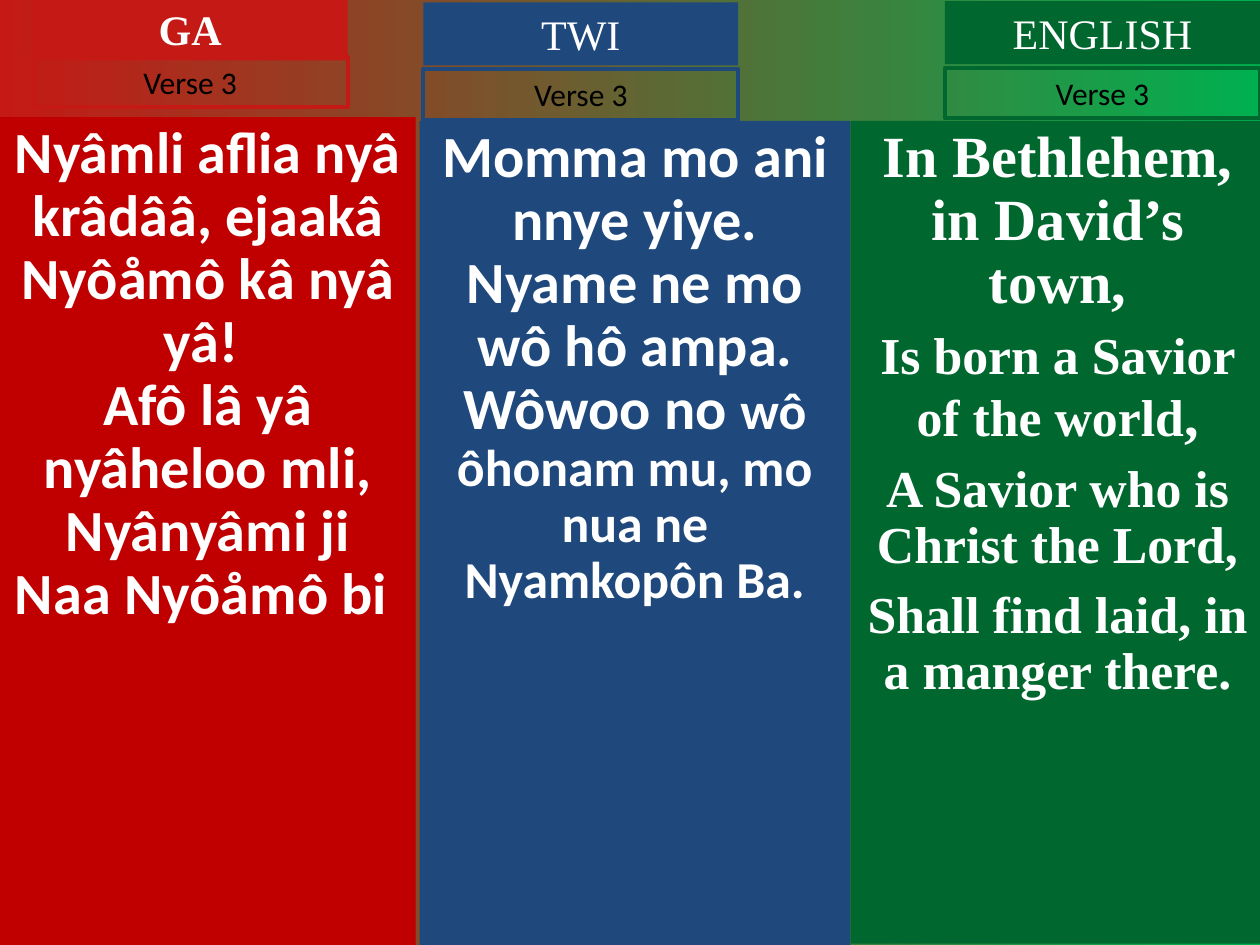
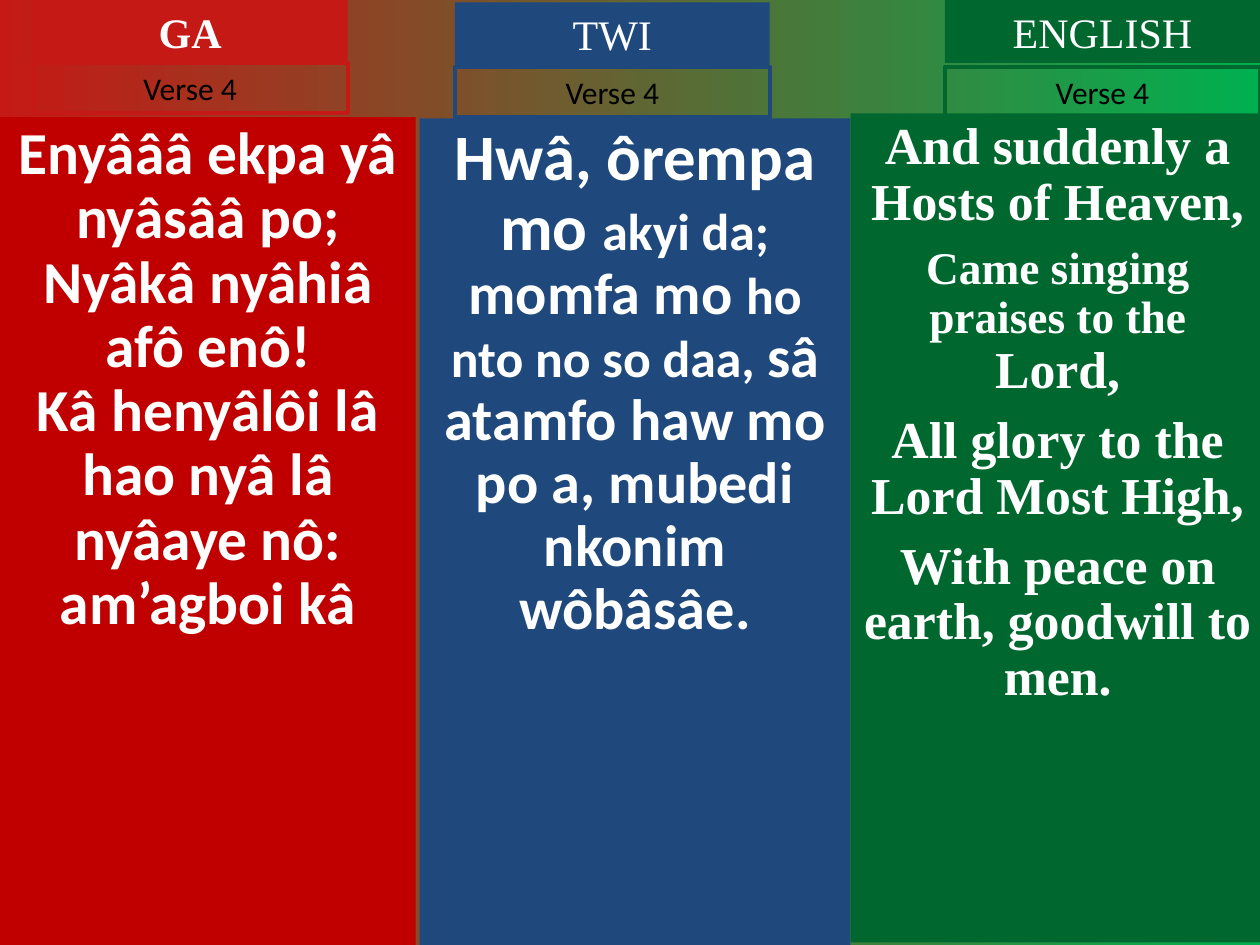
from pptx import Presentation
from pptx.dml.color import RGBColor
from pptx.enum.shapes import MSO_SHAPE
from pptx.enum.text import MSO_ANCHOR, MSO_AUTO_SIZE, PP_ALIGN
from pptx.util import Inches, Pt

RED = RGBColor(0xC5, 0x19, 0x15)
DEEP_RED = RGBColor(0xC0, 0x00, 0x00)
BLUE = RGBColor(0x1F, 0x49, 0x7D)
GREEN = RGBColor(0x00, 0x68, 0x2F)
BRIGHT_GREEN = RGBColor(0x00, 0xB0, 0x50)
WHITE = RGBColor(0xFF, 0xFF, 0xFF)
BLACK = RGBColor(0x00, 0x00, 0x00)

SANS, SERIF = "Calibri", "Times New Roman"
HUGE, LARGER, LARGE, MEDIUM, SMALL = 37, 34, 33.3, 29.6, 25.9
TAG_WIDTH, NAME_HEIGHT, VERSE_HEIGHT = 2.5, 0.5, 0.4

LANGUAGES = {
    "GA": dict(tag=RED, panel=DEEP_RED, font=SANS, left=0, width=3.3, bold_name=True, gap=0),
    "TWI": dict(tag=BLUE, panel=BLUE, font=SANS, left=3.33, width=3.42, bold_name=False, gap=0),
    "ENGLISH": dict(tag=GREEN, panel=GREEN, font=SERIF, left=6.75, width=3.29, bold_name=False, gap=8),
}

VERSES = [
    ("Verse 3", {
        "GA": dict(tag_left=0.26, name_top=-0.02, verse_top=0.45, panel_top=0.93, bottom=7.5, lines=[
            [("Nyâmli aflia nyâ krâdââ, ejaakâ Nyôåmô kâ nyâ yâ! ", LARGE)],
            [("Afô lâ yâ nyâheloo mli, Nyânyâmi ji Naa Nyôåmô bi ", LARGE)],
        ]),
        "TWI": dict(tag_left=3.36, name_top=0.02, verse_top=0.55, panel_top=0.96, bottom=7.5, lines=[
            [("Momma mo ani nnye yiye.", LARGE)],
            [("Nyame ne mo wô hô ampa.", LARGE)],
            [("Wôwoo no ", LARGE), ("wô ôhonam mu, mo nua ne Nyamkopôn Ba.", MEDIUM)],
        ]),
        "ENGLISH": dict(tag_left=7.5, name_top=0.01, verse_top=0.54, panel_top=0.96, bottom=7.49, lines=[
            [("In Bethlehem, in David’s town,", LARGE)],
            [("Is born a Savior of the world", MEDIUM), (",", LARGE)],
            [("A Savior who is Christ the Lord,", MEDIUM)],
            [("Shall find laid, in a manger there.", MEDIUM)],
        ]),
    }),
    ("Verse 4", {
        "GA": dict(tag_left=0.26, name_top=0, verse_top=0.5, panel_top=0.93, bottom=7.5, lines=[
            [("Enyâââ ekpa yâ nyâsââ po;", LARGER)],
            [("Nyâkâ nyâhiâ afô enô!", LARGER)],
            [("Kâ henyâlôi lâ hao nyâ lâ nyâaye nô: am’agboi kâ", LARGER)],
        ]),
        "TWI": dict(tag_left=3.61, name_top=0.02, verse_top=0.53, panel_top=0.94, bottom=7.5, lines=[
            [("Hwâ, ôrempa mo ", HUGE), ("akyi da; ", MEDIUM), ("momfa mo ", LARGE),
             ("ho nto no so daa, ", MEDIUM),
             ("sâ atamfo haw mo po a, mubedi nkonim wôbâsâe.", LARGE)],
        ]),
        "ENGLISH": dict(tag_left=7.5, name_top=0, verse_top=0.53, panel_top=0.9, bottom=7.48, lines=[
            [("And suddenly a Hosts of Heaven,", MEDIUM)],
            [("Came singing praises to the ", SMALL), ("Lord,", MEDIUM)],
            [("All glory to the Lord Most High,", MEDIUM)],
            [("With peace on earth, goodwill to men.", MEDIUM)],
        ]),
    }),
]


def add_block(slide, box, lines, font, color, bold=False, fill=None, border=None,
              spacing=1.0, gap=0, grow=False):
    block = slide.shapes.add_shape(MSO_SHAPE.RECTANGLE, *map(Inches, box))
    block.shadow.inherit = False
    if fill is not None:
        block.fill.solid()
        block.fill.fore_color.rgb = fill
    else:
        block.fill.background()
    if border is not None:
        block.line.color.rgb = border
        block.line.width = Pt(2.25)
    else:
        block.line.fill.background()
    frame = block.text_frame
    frame.word_wrap = True
    frame.vertical_anchor = MSO_ANCHOR.TOP
    if grow:
        frame.auto_size = MSO_AUTO_SIZE.SHAPE_TO_FIT_TEXT
    for index, line in enumerate(lines):
        paragraph = frame.add_paragraph() if index else frame.paragraphs[0]
        paragraph.alignment = PP_ALIGN.CENTER
        paragraph.line_spacing = spacing
        paragraph.space_before = Pt(gap if index else 0)
        for words, size in line:
            run = paragraph.add_run()
            run.text = words
            run.font.name = font
            run.font.size = Pt(size)
            run.font.bold = bold
            run.font.color.rgb = color


def add_panel(slide, style, part):
    top = part["panel_top"]
    add_block(slide, (style["left"], top, style["width"], part["bottom"] - top), part["lines"],
              style["font"], WHITE, bold=True, fill=style["panel"], spacing=0.9, gap=style["gap"])


def add_tags(slide, language, verse, style, part):
    left = part["tag_left"]
    add_block(slide, (left, part["name_top"], TAG_WIDTH, NAME_HEIGHT), [[(language, 24)]],
              SERIF, WHITE, bold=style["bold_name"], fill=style["tag"], grow=True)
    add_block(slide, (left, part["verse_top"], TAG_WIDTH, VERSE_HEIGHT), [[(verse, 18)]],
              SANS, BLACK, border=style["tag"], grow=True)


def add_verse(deck, verse, parts):
    slide = deck.slides.add_slide(deck.slide_layouts[6])
    backdrop = slide.background.fill
    backdrop.gradient()
    backdrop.gradient_angle = 0
    for stop, color in zip(backdrop.gradient_stops, (RED, BRIGHT_GREEN)):
        stop.color.rgb = color
    for language, part in parts.items():
        add_panel(slide, LANGUAGES[language], part)
    for language, part in parts.items():
        add_tags(slide, language, verse, LANGUAGES[language], part)


def main():
    deck = Presentation()
    deck.slide_width, deck.slide_height = Inches(10), Inches(7.5)
    for verse, parts in VERSES:
        add_verse(deck, verse, parts)
    deck.save("out.pptx")


if __name__ == "__main__":
    main()
